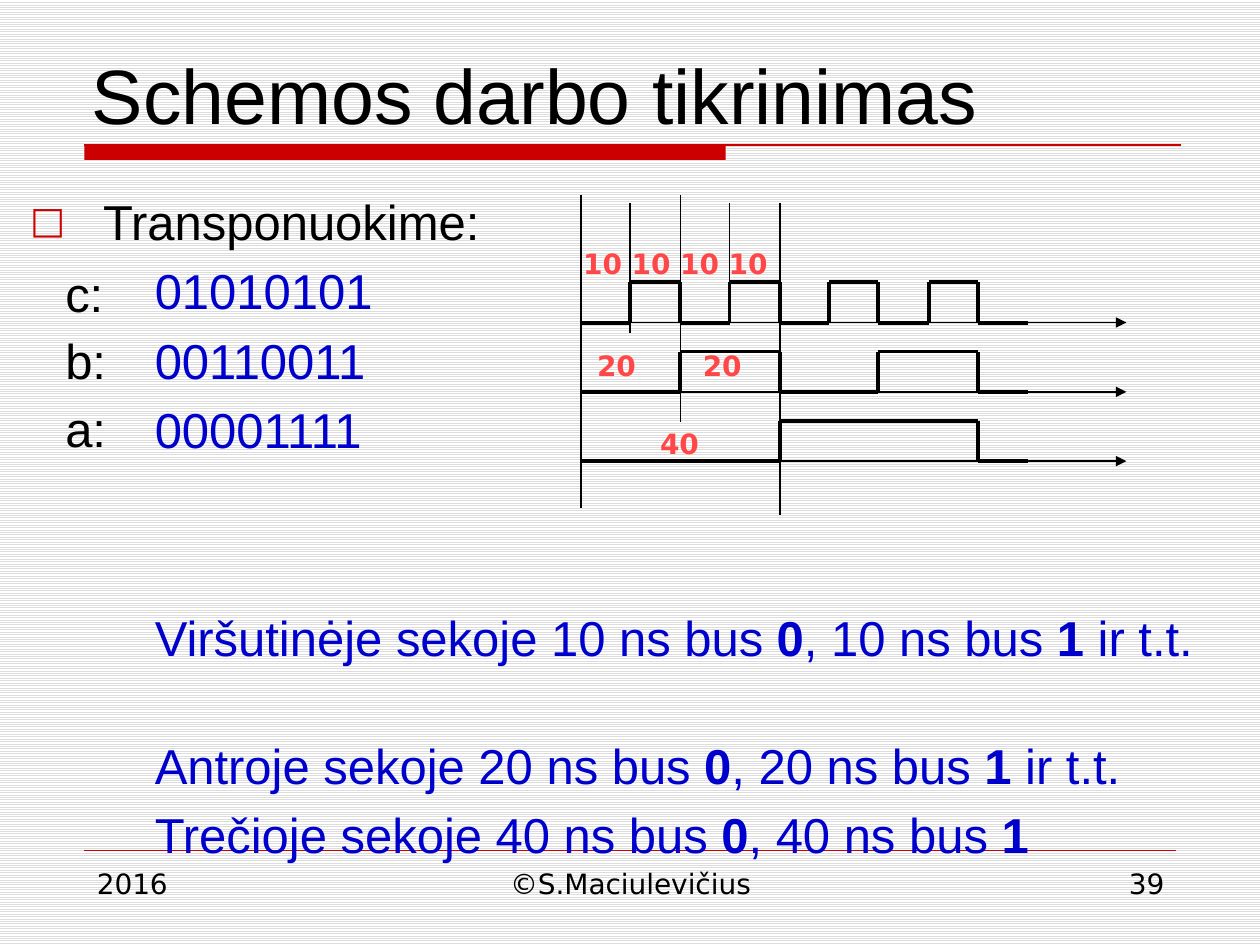
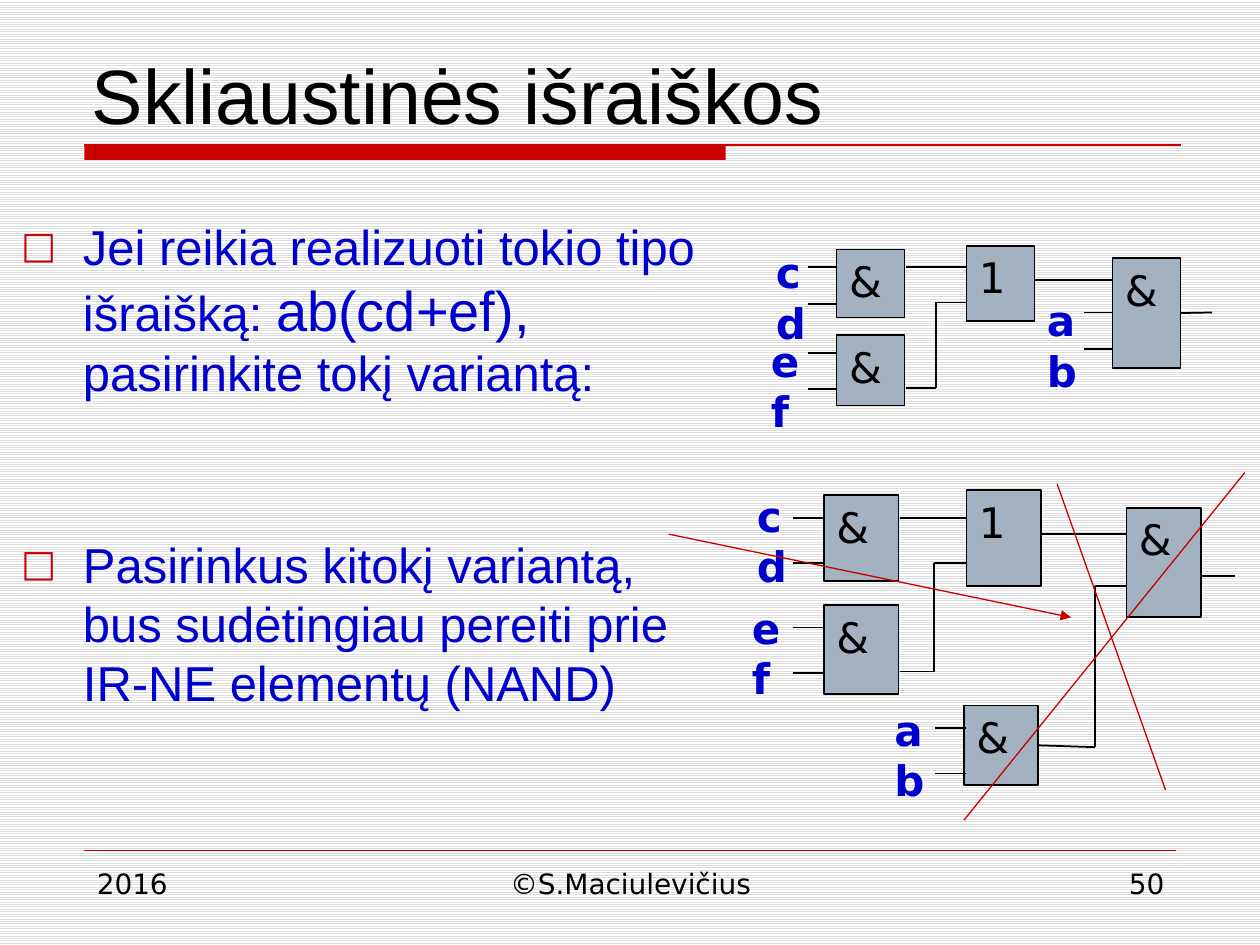
from lxml import etree
from pptx import Presentation, util as u
from pptx.dml.color import RGBColor
from pptx.enum import dml, shapes, text
from pptx.oxml import ns

SCALE = 9144  # EMU in one px, 100 px to the inch
SANS, MONO = "Arial", "DejaVu Sans"
HEX = {
    "ink": "000000", "blue": "0000CC", "red": "CC0000", "strike": "C80000",
    "time": "FF4747", "gate": "A3B2C1", "rule": "DDDDDD", "paper": "FFFFFF",
}
LEFT, MID, RIGHT = text.PP_ALIGN.LEFT, text.PP_ALIGN.CENTER, text.PP_ALIGN.RIGHT


def px(n):
    return u.Emu(round(n * SCALE))


def rgb(name):
    return RGBColor.from_string(HEX[name])


# --- Basic elements ---

def style(run, size, color="ink", font=SANS, bold=False):
    run.font.size, run.font.name, run.font.bold = u.Pt(size), font, bold
    run.font.color.rgb = rgb(color)


def label(slide, box, words, size, color="ink", font=MONO, bold=False,
          align=LEFT, gap=0, anchor=text.MSO_ANCHOR.TOP):
    frame = slide.shapes.add_textbox(*map(px, box)).text_frame
    frame.word_wrap, frame.vertical_anchor = True, anchor
    frame.text = words
    for para in frame.paragraphs:
        para.alignment, para.space_before = align, u.Pt(gap)
        style(para.runs[0], size, color, font, bold)


def block(slide, shape, box, fill):
    rect = slide.shapes.add_shape(shape, *map(px, box))
    rect.shadow.inherit = False
    rect.fill.solid()
    rect.fill.fore_color.rgb = rgb(fill)
    rect.line.fill.background()
    return rect


def line(slide, x1, y1, x2, y2, width=1, color="ink", arrow=False):
    link = slide.shapes.add_connector(
        shapes.MSO_CONNECTOR.STRAIGHT, *map(px, (x1, y1, x2, y2)))
    link.line.width, link.line.color.rgb = u.Pt(width), rgb(color)
    if arrow:
        etree.SubElement(link.line._get_or_add_ln(), ns.qn("a:tailEnd"), type="triangle")
    etree.SubElement(link._element.spPr, ns.qn("a:effectLst"))
    return link


# --- Body text ---

def body(slide, box):
    frame = slide.shapes.add_textbox(*map(px, box)).text_frame
    frame.word_wrap = True
    return frame


def para(frame, parts, gap, margin, bullet=False):
    """Add a paragraph of (words, size, color, bold) parts."""
    first = frame.paragraphs[0]
    item = frame.add_paragraph() if first.runs else first
    item.space_before = u.Pt(gap)
    for words, size, color, bold in parts:
        run = item.add_run()
        run.text = words
        style(run, size, color, bold=bold)
    props = item._p.get_or_add_pPr()
    props.set("marL", str(px(margin)))
    props.set("indent", str(px(-margin if bullet else 0)))
    if bullet:
        tint = etree.SubElement(props, ns.qn("a:buClr"))
        etree.SubElement(tint, ns.qn("a:srgbClr"), val=HEX["red"])
        etree.SubElement(props, ns.qn("a:buSzPct"), val="76000")
        etree.SubElement(props, ns.qn("a:buFont"), typeface=MONO)
        etree.SubElement(props, ns.qn("a:buChar"), char="□")


# --- Shared frame of every slide ---

def page(deck, title, number):
    slide = deck.slides.add_slide(deck.slide_layouts[6])
    fill = slide.background.fill
    fill.patterned()
    fill.pattern = dml.MSO_PATTERN.LIGHT_HORIZONTAL
    fill.fore_color.rgb, fill.back_color.rgb = rgb("rule"), rgb("paper")
    block(slide, shapes.MSO_SHAPE.RECTANGLE, (67, 115, 509, 12), "red")
    line(slide, 67, 115, 937, 115, 0.75, "red")
    line(slide, 67, 675, 933, 675, 0.25, "red")
    label(slide, (63, 33, 875, 82), title, 44, font=SANS,
          anchor=text.MSO_ANCHOR.MIDDLE)
    label(slide, (67, 683, 217, 52), "2016", 16)
    label(slide, (342, 683, 317, 52), "©S.Maciulevičius", 16, align=MID)
    label(slide, (717, 683, 217, 52), str(number), 16, align=RIGHT)
    return slide


# --- Timing diagram ---

START, SLOT, PULSE = 461, 39.4, 32


def edge(i):
    return START + round(i * SLOT)


def wave(slide, base, bits):
    line(slide, START, base, 894, base, arrow=True)
    begin = 0
    for i in range(1, len(bits) + 1):
        if i == len(bits) or bits[i] != bits[begin]:
            y = base - PULSE * int(bits[begin])
            line(slide, edge(begin), y, edge(i), y, 2.25)
            if i < len(bits):
                line(slide, edge(i), base - PULSE, edge(i), base, 2.25)
            begin = i


def timing(slide):
    for base, bits in ((256, "010101010"), (311, "001100110"), (366, "000011110")):
        wave(slide, base, bits)
    guides = ((155, 403), (161, 264), (155, 335), (161, 256), (161, 409))
    for i, (top, end) in enumerate(guides):
        line(slide, edge(i), top, edge(i), end)
    times = ((453, 191, "10 10 10 10"), (464, 272, "20"), (548, 272, "20"), (514, 334, "40"))
    for x, y, words in times:
        label(slide, (x, y, 190, 37), words, 16, "time", bold=True)


# --- Logic circuits ---

def gate(slide, sign, *box):
    rect = block(slide, shapes.MSO_SHAPE.RECTANGLE, box, "gate")
    rect.line.width, rect.line.color.rgb = u.Pt(1), rgb("ink")
    frame = rect.text_frame
    frame.text, frame.vertical_anchor = sign, text.MSO_ANCHOR.TOP
    frame.paragraphs[0].alignment = LEFT
    style(frame.paragraphs[0].runs[0], 24, font=MONO)
    return rect


def inputs(slide, names, spot, x, y, step, reach):
    """Name two pins and draw their wires, one step apart."""
    label(slide, (*spot, 60, 85), "\n".join(names), 24, "blue", bold=True)
    for pin in (y, y + step):
        line(slide, x, pin, x + reach, pin)


def wires(slide, ends):
    for end in ends:
        line(slide, *end)


def good(slide):
    gate(slide, "&", 664, 198, 54, 54)
    gate(slide, "&", 664, 266, 54, 56)
    gate(slide, "1", 767, 195, 54, 60)
    last = gate(slide, "&", 883, 205, 54, 87)
    inputs(slide, "cd", (606, 191), 641, 212, 29, 23)
    inputs(slide, "ef", (602, 261), 641, 280, 29, 23)
    inputs(slide, "ab", (821, 229), 860, 248, 29, 23)
    wires(slide, ((719, 212, 767, 212), (719, 308, 743, 308), (743, 240, 743, 308),
                  (743, 240, 767, 240), (821, 222, 883, 222)))
    line(slide, 937, 248, 962, 248).begin_connect(last, 3)


def bad(slide):
    gate(slide, "&", 654, 393, 59, 68)
    gate(slide, "&", 654, 480, 59, 71)
    gate(slide, "1", 767, 389, 59, 76)
    gate(slide, "&", 894, 403, 59, 87)
    lower = gate(slide, "&", 765, 560, 59, 63)
    inputs(slide, "cd", (591, 384), 629, 411, 36, 25)
    inputs(slide, "ef", (587, 473), 629, 498, 36, 25)
    inputs(slide, "ab", (700, 554), 742, 578, 36, 25)
    wires(slide, ((714, 411, 767, 411), (714, 533, 741, 533), (741, 447, 741, 533),
                  (741, 447, 767, 447), (826, 424, 894, 424), (869, 465, 869, 593),
                  (869, 465, 894, 465), (953, 457, 980, 457)))
    line(slide, 824, 592, 869, 593).begin_connect(lower, 3)


# --- Slides ---

def check(deck):
    slide = page(deck, "Schemos darbo tikrinimas", 39)
    frame = body(slide, (14, 147, 973, 496))
    para(frame, [("Transponuokime:", 28, "ink", False)], 5.6, 58, True)
    for bits in ("01010101", "00110011", "00001111"):
        para(frame, [(bits, 28, "blue", False)], 6, 99)
    rows = (("Viršutinėje", 10, " ir t.t.", 85), ("Antroje", 20, " ir t.t.", 40),
            ("Trečioje", 40, "", 5.6))
    for name, time, tail, gap in rows:
        parts = [(f"{name} sekoje {time} ns bus ", False), ("0", True),
                 (f", {time} ns bus ", False), ("1", True), (tail, False)]
        para(frame, [(words, 28, "blue", bold) for words, bold in parts if words], gap, 99)
    timing(slide)
    label(slide, (42, 204, 60, 165), "c:\nb:\na:", 28, font=SANS, gap=5)


def nested(deck):
    slide = page(deck, "Skliaustinės išraiškos", 50)
    frame = body(slide, (7, 167, 578, 405))
    para(frame, [("Jei reikia realizuoti tokio tipo išraišką: ", 28, "blue", False),
                 ("ab(cd+ef), ", 32, "blue", False),
                 ("pasirinkite tokį variantą:", 28, "blue", False)], 0, 49, True)
    para(frame, [("Pasirinkus kitokį variantą, bus sudėtingiau pereiti prie "
                  "IR-NE elementų (NAND)", 28, "blue", False)], 76, 49, True)
    good(slide)
    bad(slide)
    # Strike out the second circuit
    line(slide, 839, 384, 925, 627, 0.75, "strike")
    line(slide, 765, 651, 988, 375, 0.75, "strike")
    line(slide, 531, 424, 850, 490, 0.75, "strike", True)


def main():
    deck = Presentation()
    deck.slide_width, deck.slide_height = px(1000), px(750)
    check(deck)
    nested(deck)
    deck.save("out.pptx")


if __name__ == "__main__":
    main()
